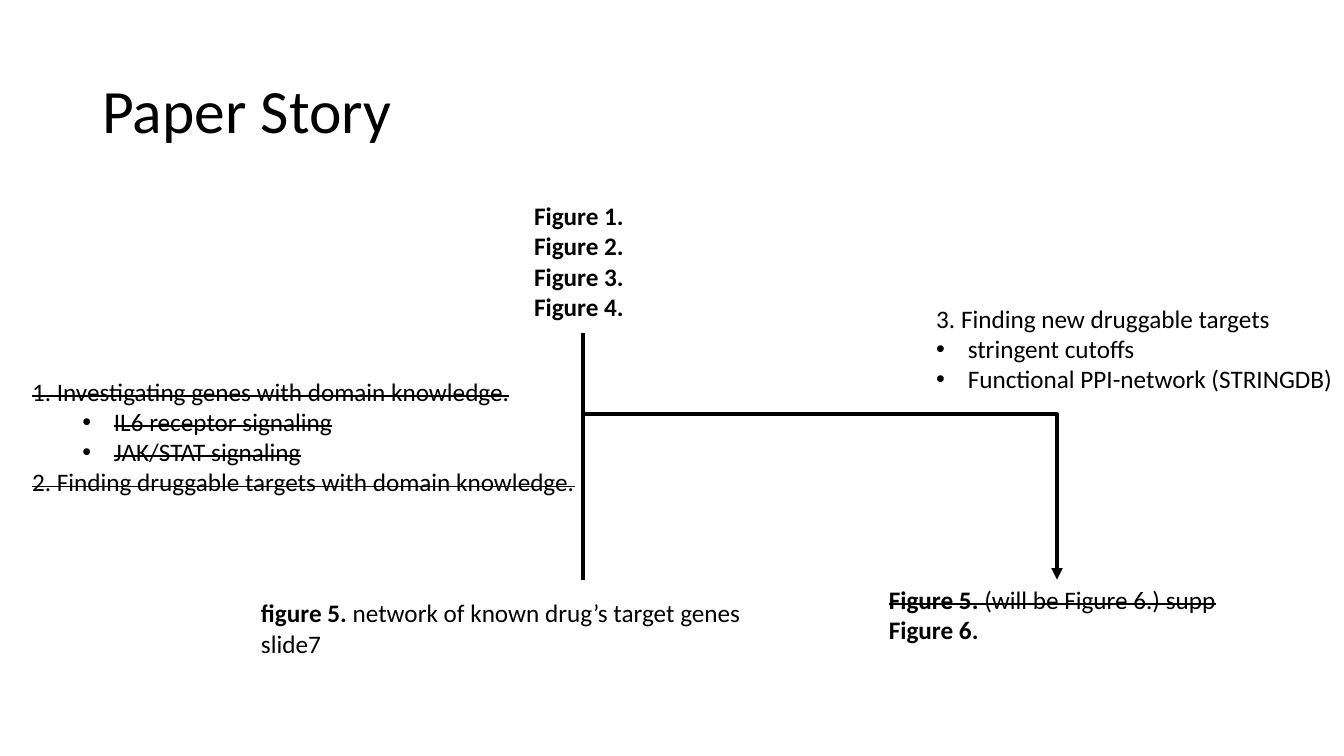
"""Build the Paper Story slide: figure outline with a branching flow."""
from lxml import etree
from pptx import Presentation
from pptx import util as u
from pptx.dml.color import RGBColor
from pptx.enum import shapes, text
from pptx.oxml import ns


def color(value):
    return RGBColor.from_string(value)


def add_run(paragraph, content, size, style=""):
    run = paragraph.add_run()
    run.text = content
    settings = {"name": "Calibri", "size": u.Pt(size), "bold": "b" in style}
    for name, value in settings.items():
        setattr(run.font, name, value)
    run.font.color.rgb = color("000000")
    if "s" in style:
        run._r.get_or_add_rPr().set("strike", "sngStrike")


presentation = Presentation()
presentation.slide_width = u.Pt(960)
presentation.slide_height = u.Pt(540)
slide = presentation.slides.add_slide(presentation.slide_layouts[5])

title = slide.shapes.title
title_box = {"left": 66, "top": 28.75, "width": 828, "height": 104.4}
for name, value in title_box.items():
    setattr(title, name, u.Pt(value))
title.text_frame.vertical_anchor = text.MSO_ANCHOR.MIDDLE
paragraph = title.text_frame.paragraphs[0]
paragraph.alignment = text.PP_ALIGN.LEFT
paragraph.line_spacing = 0.9
add_run(paragraph, "Paper Story", 44)

# Each paragraph is (level, bullet indent, runs); run styles: b bold, s strike.
text_boxes = [
    ((374.4, 139.7, 83.5, 116.6), False,
     [(0, 0, [(f"Figure {number}.", "b")]) for number in range(1, 5)]),
    ((179.3, 423.4, 360.7, 50.9), False, [
        (0, 0, [("figure 5. ", "b"), ("network of known drug’s target genes", "")]),
        (0, 0, [("slide7", "")]),
    ]),
    ((661.7, 213.1, 297.4, 94.3), False, [
        (0, 0, [("3. Finding new druggable targets", "")]),
        (0, 22.5, [("stringent cutoffs", "")]),
        (0, 22.5, [("Functional PPI-network (STRINGDB)", "")]),
    ]),
    ((15.8, 265, 406.8, 116.6), False, [
        (0, 0, [("1. Investigating genes with domain knowledge.", "s")]),
        (1, 58.5, [("IL6 receptor signaling", "s")]),
        (1, 58.5, [("JAK/STAT signaling", "s")]),
        (0, 0, [("2. Finding druggable targets with domain knowledge.", "s")]),
    ]),
    ((627.8, 414, 253.4, 50.9), True, [
        (0, 0, [("Figure 5. ", "bs"), ("(will be Figure 6.) supp", "s")]),
        (0, 0, [("Figure 6.", "b")]),
    ]),
]
for box, wrap, paragraphs in text_boxes:
    frame = slide.shapes.add_textbox(*map(u.Pt, box)).text_frame
    frame.word_wrap = wrap
    frame.auto_size = text.MSO_AUTO_SIZE.SHAPE_TO_FIT_TEXT
    for index, (level, indent, runs) in enumerate(paragraphs):
        paragraph = frame.add_paragraph() if index else frame.paragraphs[0]
        paragraph.level = level
        if indent:
            properties = paragraph._p.get_or_add_pPr()
            properties.set("marL", str(u.Pt(indent)))
            properties.set("indent", str(u.Pt(-22.5)))
            etree.SubElement(properties, ns.qn("a:buFont")).set("typeface", "Arial")
            etree.SubElement(properties, ns.qn("a:buChar")).set("char", "•")
        for content, style in runs:
            add_run(paragraph, content, 18, style)

trunk_x, flow_bottom = 416.5, 414
connectors = [
    (shapes.MSO_CONNECTOR.STRAIGHT, 237.6, trunk_x),
    (shapes.MSO_CONNECTOR.ELBOW, 296, 755),
]
for kind, top, end_x in connectors:
    connector = slide.shapes.add_connector(
        kind, u.Pt(trunk_x), u.Pt(top), u.Pt(end_x), u.Pt(flow_bottom))
    connector.line.color.rgb = color("000000")
    connector.line.width = u.Pt(2.75)
    properties = connector._element.spPr
    if kind == shapes.MSO_CONNECTOR.ELBOW:
        properties.find(ns.qn("a:prstGeom")).set("prst", "bentConnector2")
        line = properties.find(ns.qn("a:ln"))
        etree.SubElement(line, ns.qn("a:tailEnd")).set("type", "triangle")
    etree.SubElement(properties, ns.qn("a:effectLst"))

presentation.save("out.pptx")
